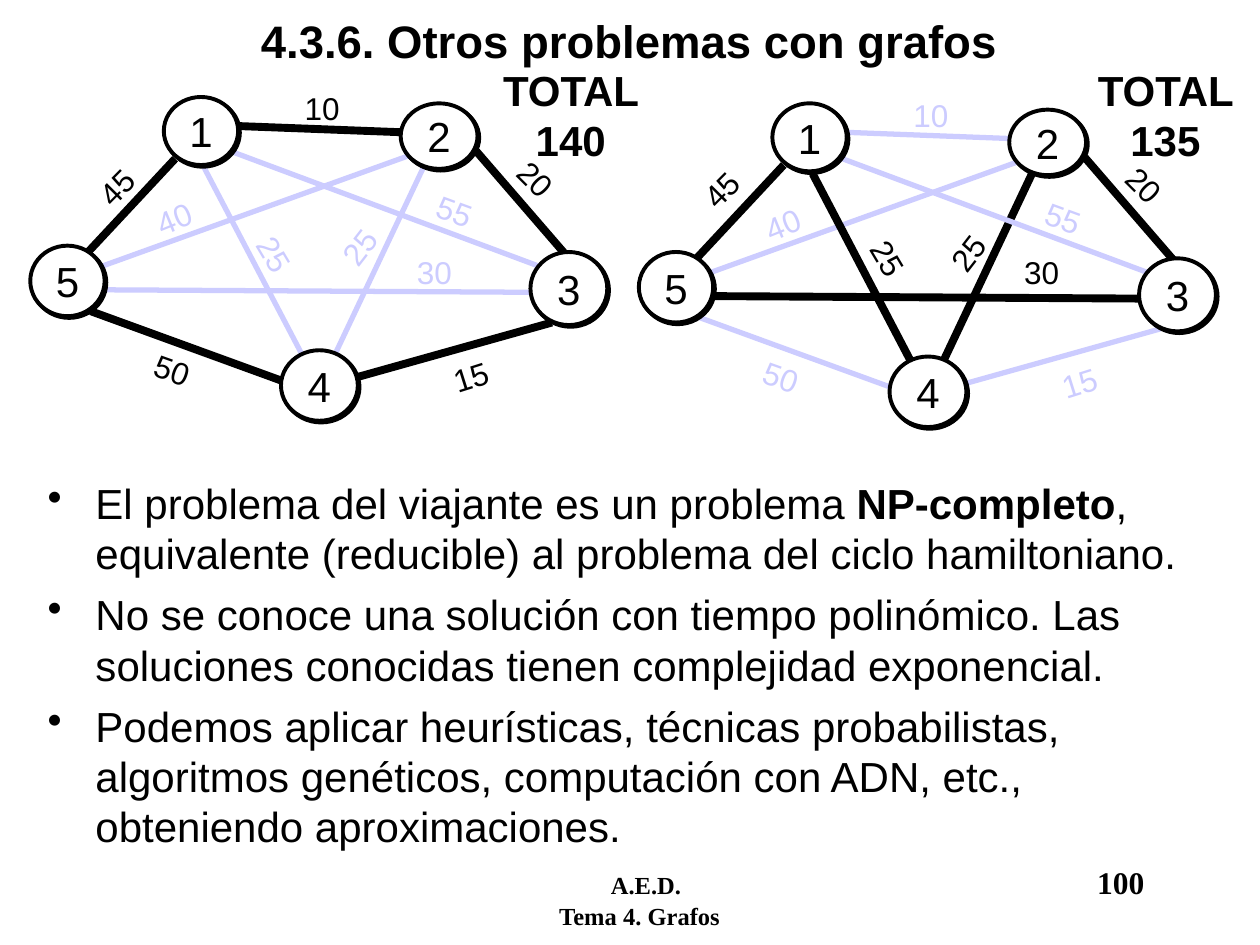
from dataclasses import dataclass, field
from typing import Any

import pptx
import pptx.dml.color
import pptx.enum.shapes
import pptx.enum.text
import pptx.oxml.ns
import pptx.util
from lxml import etree

PX = 9144  # EMU per px, 100 px to the inch
BLACK, WHITE, PALE = "000000", "FFFFFF", "CCCCFF"
CENTER = pptx.enum.text.PP_ALIGN.CENTER
MIDDLE = pptx.enum.text.MSO_ANCHOR.MIDDLE


@dataclass(frozen=True)
class Node:
    name: str
    box: tuple[int, int, int, int]


@dataclass(frozen=True)
class Edge:
    nodes: str
    weight: int
    start: tuple[int, int]
    end: tuple[int, int]
    label: tuple[int, int]
    rotation: float = 0


@dataclass(frozen=True)
class Graph:
    origin: tuple[int, int]
    tour: set[str]
    total: str
    total_at: tuple[int, int]
    label_shifts: dict[str, tuple[int, int]] = field(default_factory=dict)


NODES = [
    Node("1", (130, 77, 59, 54)),
    Node("2", (318, 82, 61, 52)),
    Node("3", (421, 200, 61, 58)),
    Node("5", (24, 195, 59, 56)),
    Node("4", (223, 278, 61, 56)),
]
EDGES = [
    Edge("15", 45, (139, 126), (69, 201), (63, 115), 314.7),
    Edge("45", 50, (72, 247), (223, 302), (112, 280), 19.7),
    Edge("35", 30, (81, 230), (421, 232), (321, 196)),
    Edge("25", 40, (79, 212), (326, 123), (113, 146), 337.9),
    Edge("12", 10, (320, 105), (188, 100), (232, 66)),
    Edge("24", 25, (336, 133), (266, 281), (254, 161), 307.8),
    Edge("14", 25, (240, 282), (162, 133), (185, 198), 59.2),
    Edge("13", 55, (183, 120), (427, 211), (336, 154), 20.2),
    Edge("23", 20, (448, 201), (378, 120), (396, 135), 44.8),
    Edge("34", 15, (438, 256), (281, 300), (349, 273), 342.5),
]
GRAPHS = [
    Graph((0, 0), {"12", "23", "34", "45", "15"}, "TOTAL 140", (378, 46)),
    Graph((483, 5), {"15", "35", "23", "24", "14"}, "TOTAL 135", (850, 46),
          {"15": (-3, -3), "35": (-1, -5), "14": (4, -2)}),
]
BULLETS = [
    [("El problema del viajante es un problema ", False), ("NP-completo", True),
     (", equivalente (reducible) al problema del ciclo hamiltoniano.", False)],
    [("No se conoce una solución con tiempo polinómico. "
      "Las soluciones conocidas tienen complejidad exponencial.", False)],
    [("Podemos aplicar heurísticas, técnicas probabilistas, algoritmos genéticos, "
      "computación con ADN, etc., obteniendo aproximaciones.", False)],
]


def rgb(color: str) -> pptx.dml.color.RGBColor:
    return pptx.dml.color.RGBColor.from_string(color)


def scaled(*lengths: int) -> list[int]:
    return [length * PX for length in lengths]


def add_element(parent: Any, tag: str, **attributes: Any) -> Any:
    values = {name: str(value) for name, value in attributes.items()}
    return etree.SubElement(parent, pptx.oxml.ns.qn(tag), values)


def add_text(paragraph: Any, text: str, *, size: int, font: str = "Arial",
             bold: bool = False, color: str = BLACK, align: Any = None) -> None:
    if align is not None:
        paragraph.alignment = align
    run = paragraph.add_run()
    run.text = text
    run.font.size = pptx.util.Pt(size)
    run.font.name = font
    run.font.bold = bold
    run.font.color.rgb = rgb(color)


def add_box(shapes: Any, left: int, top: int, width: int, height: int) -> Any:
    box = shapes.add_textbox(*scaled(left, top, width, height))
    box.text_frame.word_wrap = True
    return box


def draw_edge(shapes: Any, edge: Edge, graph: Graph) -> None:
    x, y = graph.origin
    in_tour = edge.nodes in graph.tour
    line = shapes.add_connector(
        pptx.enum.shapes.MSO_CONNECTOR.STRAIGHT,
        *scaled(edge.start[0] + x, edge.start[1] + y, edge.end[0] + x, edge.end[1] + y))
    line.line.color.rgb = rgb(BLACK if in_tour else PALE)
    line.line.width = pptx.util.Pt(4.5 if in_tour else 3)
    add_element(line._element.spPr, "a:effectLst")


def draw_weight(shapes: Any, edge: Edge, graph: Graph) -> None:
    shift_x, shift_y = graph.label_shifts.get(edge.nodes, (0, 0))
    box = add_box(shapes, edge.label[0] + graph.origin[0] + shift_x,
                  edge.label[1] + graph.origin[1] + shift_y, 85, 40)
    box.rotation = edge.rotation
    add_text(box.text_frame.paragraphs[0], str(edge.weight), size=18,
             color=BLACK if edge.nodes in graph.tour else PALE)


def draw_node(shapes: Any, node: Node, graph: Graph) -> None:
    left, top, width, height = node.box
    circle = shapes.add_shape(
        pptx.enum.shapes.MSO_SHAPE.OVAL,
        *scaled(left + graph.origin[0], top + graph.origin[1], width, height))
    circle.fill.solid()
    circle.fill.fore_color.rgb = rgb(WHITE)
    circle.line.color.rgb = rgb(BLACK)
    circle.line.width = pptx.util.Pt(2.25)
    circle.shadow.inherit = False
    effects = circle._element.spPr.find(pptx.oxml.ns.qn("a:effectLst"))
    shadow = add_element(effects, "a:outerShdw", dist=pptx.util.Pt(1.4),
                         dir=45 * 60000, algn="ctr", rotWithShape=0)
    add_element(shadow, "a:srgbClr", val=BLACK)
    circle.text_frame.word_wrap = False
    circle.text_frame.vertical_anchor = MIDDLE
    add_text(circle.text_frame.paragraphs[0], node.name, size=24, align=CENTER)


def draw_graph(slide: Any, graph: Graph) -> None:
    shapes = slide.shapes.add_group_shape().shapes
    for edge in EDGES:
        draw_edge(shapes, edge, graph)
    for edge in EDGES:
        draw_weight(shapes, edge, graph)
    total = add_box(shapes, *graph.total_at, 150, 90)
    add_text(total.text_frame.paragraphs[0], graph.total, size=24, bold=True, align=CENTER)
    for node in NODES:
        draw_node(shapes, node, graph)


def draw_bullets(slide: Any) -> None:
    frame = add_box(slide.shapes, 28, 374, 940, 298).text_frame
    for index, runs in enumerate(BULLETS):
        paragraph = frame.add_paragraph() if index else frame.paragraphs[0]
        properties = paragraph._p.get_or_add_pPr()
        properties.set("marL", str(38 * PX))
        properties.set("indent", str(-38 * PX))
        add_element(properties, "a:buChar", char="•")
        if index:
            paragraph.space_before = pptx.util.Pt(6)
        for text, bold in runs:
            add_text(paragraph, text, size=24, bold=bold)


def add_tabs(paragraph: Any, *positions: int) -> None:
    tabs = add_element(paragraph._p.get_or_add_pPr(), "a:tabLst")
    for position in scaled(*positions):
        add_element(tabs, "a:tab", pos=position, algn="l")


def draw_footer(slide: Any) -> None:
    frame = add_box(slide.shapes, 362, 680, 580, 50).text_frame
    course, topic = frame.paragraphs[0], frame.add_paragraph()
    add_tabs(course, 113, 499)
    add_tabs(topic, 72)
    style = {"font": "Times New Roman", "bold": True}
    add_text(course, "\tA.E.D.\t", size=14, **style)
    add_text(course, "100", size=18, **style)
    add_text(topic, "\tTema 4. Grafos", size=14, **style)


def main() -> None:
    presentation = pptx.Presentation()
    presentation.slide_width, presentation.slide_height = scaled(1000, 750)
    slide = presentation.slides.add_slide(presentation.slide_layouts[6])
    draw_footer(slide)
    title = add_box(slide.shapes, 33, 0, 933, 64).text_frame
    title.vertical_anchor = MIDDLE
    add_text(title.paragraphs[0], "4.3.6. Otros problemas con grafos",
             size=26, bold=True, align=CENTER)
    draw_bullets(slide)
    for graph in GRAPHS:
        draw_graph(slide, graph)
    presentation.save("out.pptx")


if __name__ == "__main__":
    main()
